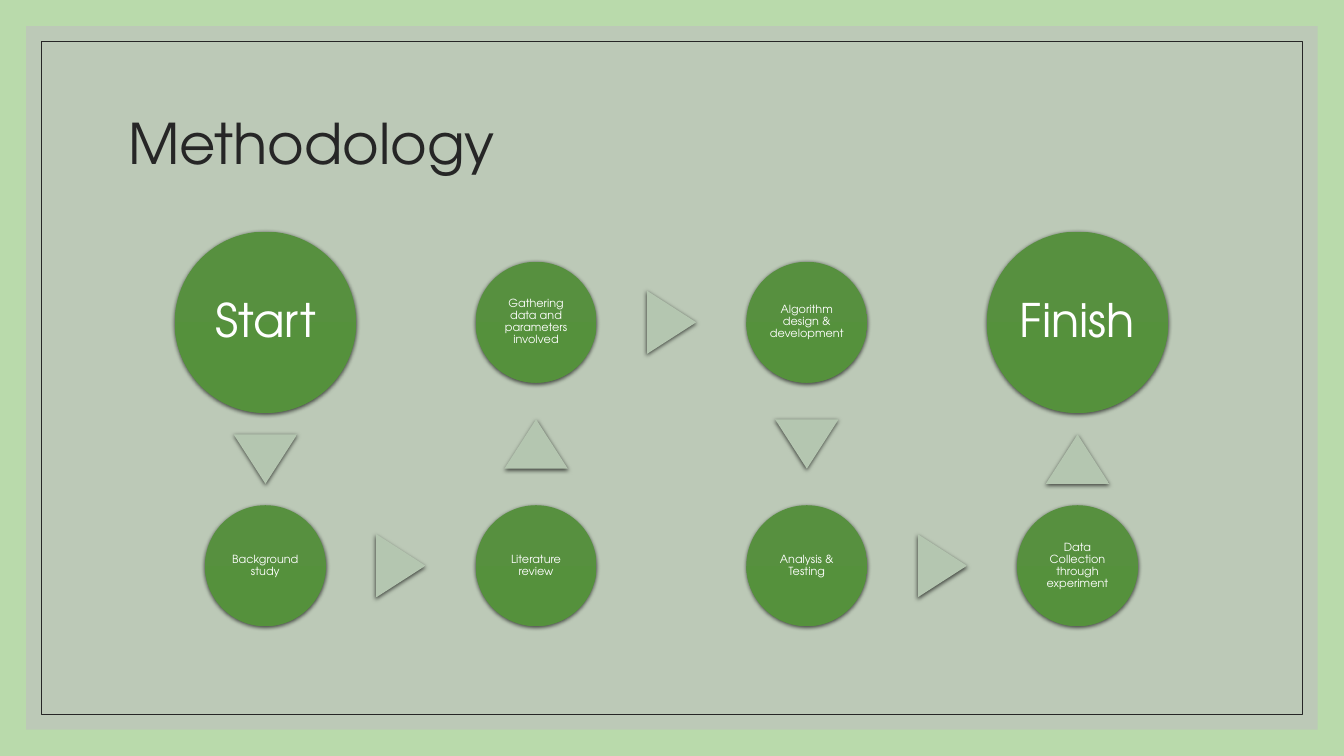
from lxml import etree
from pptx import Presentation
from pptx.dml.color import RGBColor
from pptx.enum.shapes import MSO_SHAPE as SHAPE
from pptx.enum.text import MSO_ANCHOR as ANCHOR, MSO_AUTO_SIZE as AUTO, PP_ALIGN as ALIGN
from pptx.oxml.ns import qn
from pptx.util import Inches, Pt

W, H = 13.33, 7.5
FONT = "TeX Gyre Adventor"
CIRCLE_FILL = ("57903F", "55913C")
ARROW_FILL = ("B4C6B0", "B2C5AE")
BIG, SMALL = 1.8, 1.2  # circle diameters
ARROW_W, ARROW_H = 0.63, 0.49

# Steps in order: text, column, row, diameter
STEPS = [
    ("Start", 0, 0, BIG),
    ("Background study", 0, 1, SMALL),
    ("Literature review", 1, 1, SMALL),
    ("Gathering data and parameters involved", 1, 0, SMALL),
    ("Algorithm design & development", 2, 0, SMALL),
    ("Analysis & Testing", 2, 1, SMALL),
    ("Data Collection through experiment", 3, 1, SMALL),
    ("Finish", 3, 0, BIG),
]


def rgb(color):
    return RGBColor.from_string(color)


def add_sub(parent, tag, **attrs):
    return etree.SubElement(parent, qn(tag), {k: str(v) for k, v in attrs.items()})


def add_shape(s, kind, x, y, w, h):
    sp = s.shapes.add_shape(kind, Inches(x), Inches(y), Inches(w), Inches(h))
    sp.shadow.inherit = False
    sp.line.fill.background()
    return sp


def write(tf, text, size, color, align, inset=None):
    tf.word_wrap = True
    tf.auto_size = AUTO.NONE
    tf.vertical_anchor = ANCHOR.MIDDLE
    if inset is not None:
        for side in ("left", "top", "right", "bottom"):
            setattr(tf, f"margin_{side}", Inches(inset))
    p = tf.paragraphs[0]
    p.alignment, p.line_spacing = align, 0.9
    r = p.add_run()
    r.text = text
    for name, value in {"size": Pt(size), "name": FONT, "bold": False}.items():
        setattr(r.font, name, value)
    r.font.color.rgb = rgb(color)


def raised(s, kind, cx, cy, w, h, colors):
    """Centred shape with a vertical gradient and a soft shadow."""
    sp = add_shape(s, kind, cx - w / 2, cy - h / 2, w, h)
    sp.fill.gradient()
    sp.fill.gradient_angle = 270
    for stop, color in zip(sp.fill.gradient_stops, colors):
        stop.color.rgb = rgb(color)
    effects = sp.element.spPr.find(qn("a:effectLst"))
    shadow = add_sub(effects, "a:outerShdw", blurRad=Pt(3), dist=Pt(1),
                     dir=90 * 60000, rotWithShape=0)
    add_sub(add_sub(shadow, "a:srgbClr", val="000000"), "a:alpha", val=63000)
    return sp


def add_frame(s, margin, gap):
    """Background, translucent panel and thin inner border."""
    s.background.fill.solid()
    s.background.fill.fore_color.rgb = rgb("B9DAAB")
    panel, border = (add_shape(s, SHAPE.RECTANGLE, m, m, W - 2 * m, H - 2 * m)
                     for m in (margin, margin + gap))
    panel.fill.solid()
    panel.fill.fore_color.rgb = rgb("BFBFBF")
    color = panel.element.spPr.find(qn("a:solidFill"))[0]
    add_sub(color, "a:alpha", val=60000)
    border.fill.background()
    border.line.color.rgb = rgb("262626")
    border.line.width = Pt(0.5)


def add_title(s, text, x, y, w, h):
    title = s.shapes.title
    title.left, title.top, title.width, title.height = map(Inches, (x, y, w, h))
    write(title.text_frame, text, 40, "262626", ALIGN.LEFT)
    title.element.getparent().append(title.element)  # in front of the panel


def add_arrow(s, start, end):
    """Triangle halfway between the facing edges of two circles."""
    (x1, y1, d1), (x2, y2, d2) = start, end
    if abs(x2 - x1) > abs(y2 - y1):
        angle, cx, cy = 90, (x1 + x2 + (d1 - d2) / 2) / 2, y1
    else:
        sign = 1 if y2 > y1 else -1
        angle = 180 if sign > 0 else 0
        cx, cy = x1, (y1 + y2 + sign * (d1 - d2) / 2) / 2
    sp = raised(s, SHAPE.ISOSCELES_TRIANGLE, cx, cy, ARROW_W, ARROW_H, ARROW_FILL)
    sp.rotation = angle


def add_flow(s, steps, x, y, w, h, cols=4, rows=2):
    """Circles centred in grid cells, joined in order by triangles."""
    spots = [(x + (c + 0.5) * w / cols, y + (r + 0.5) * h / rows, d)
             for _, c, r, d in steps]
    for i, (cx, cy, d) in enumerate(spots):
        if i:
            add_arrow(s, spots[i - 1], spots[i])
        size, inset = (33, 0.05) if d == BIG else (8, 0.01)
        sp = raised(s, SHAPE.OVAL, cx, cy, d, d, CIRCLE_FILL)
        write(sp.text_frame, steps[i][0], size, "FFFFFF", ALIGN.CENTER, inset)


def main():
    prs = Presentation()
    prs.slide_width, prs.slide_height = Inches(W), Inches(H)
    s = prs.slides.add_slide(prs.slide_layouts[5])  # Title Only
    add_frame(s, 0.26, 0.15)
    add_title(s, "Methodology", 1.17, 0.7, 11, 1.5)
    add_flow(s, STEPS, 1.29, 1.99, 10.74, 4.83)
    prs.save("out.pptx")


if __name__ == "__main__":
    main()
